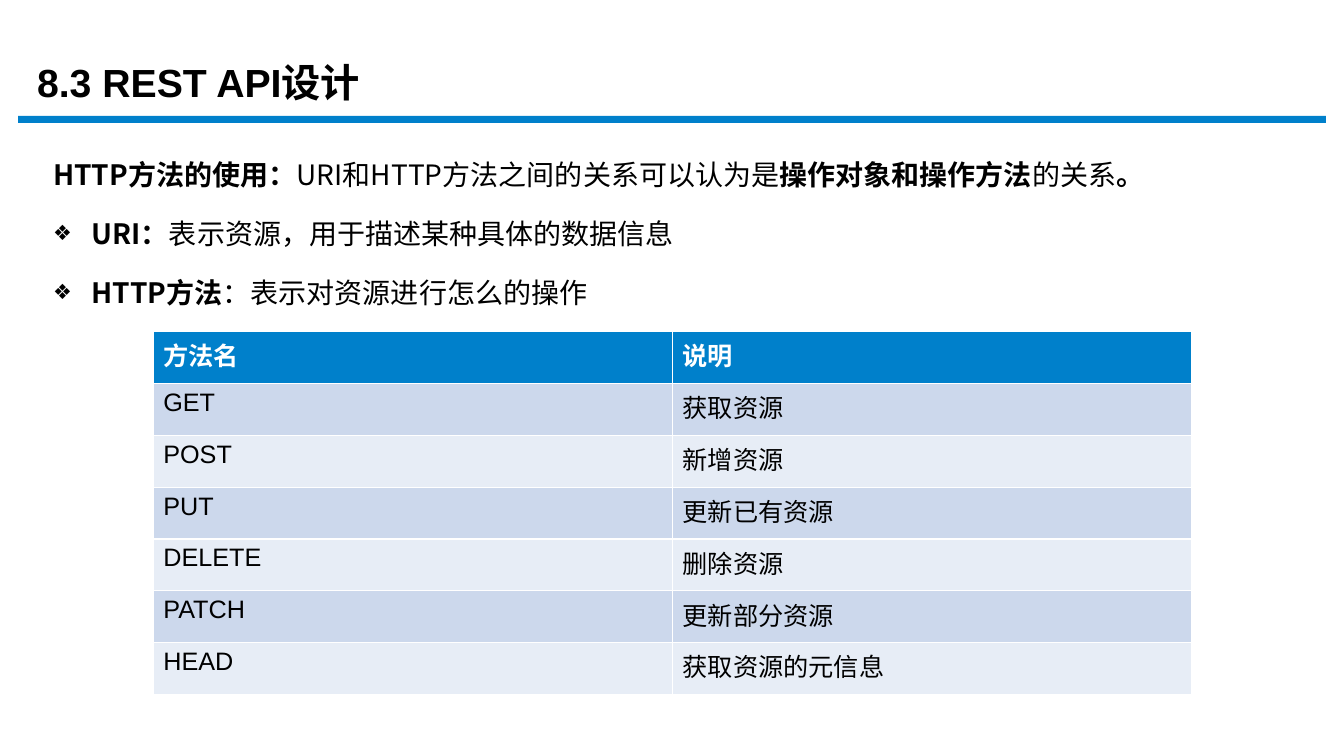
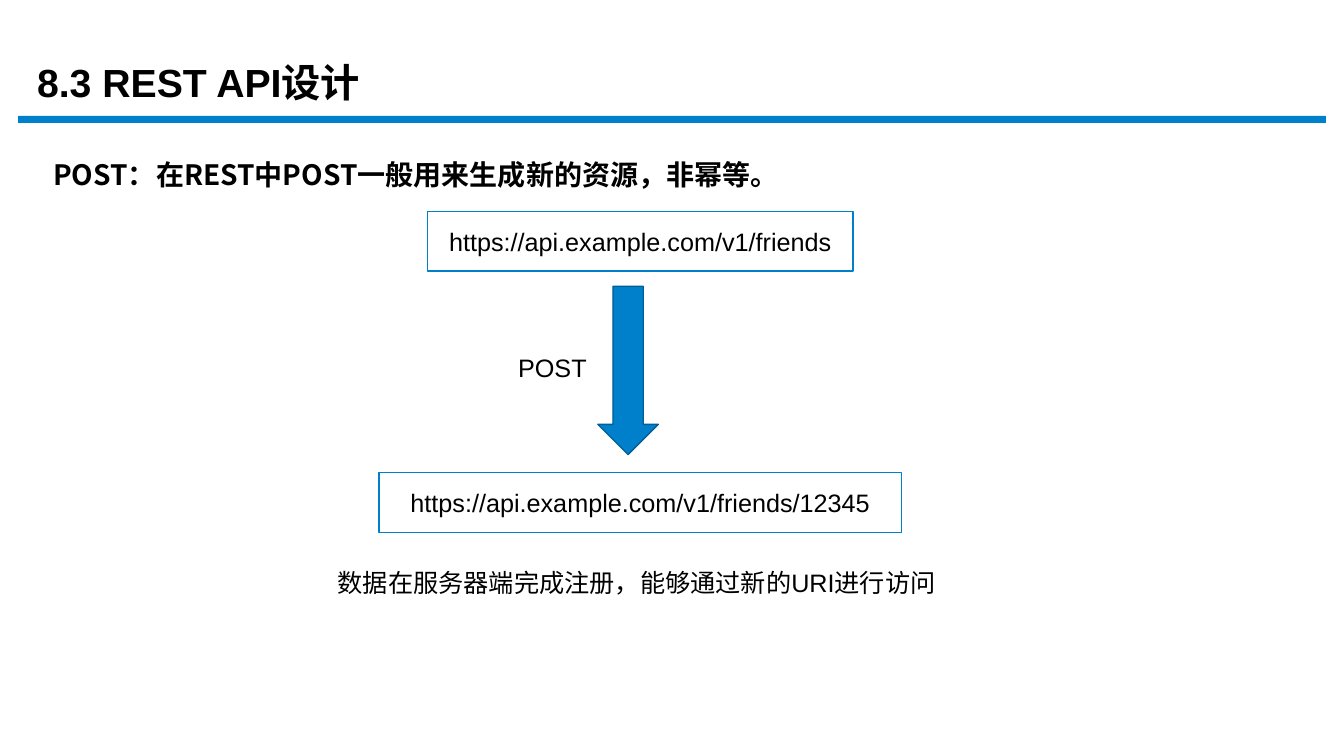
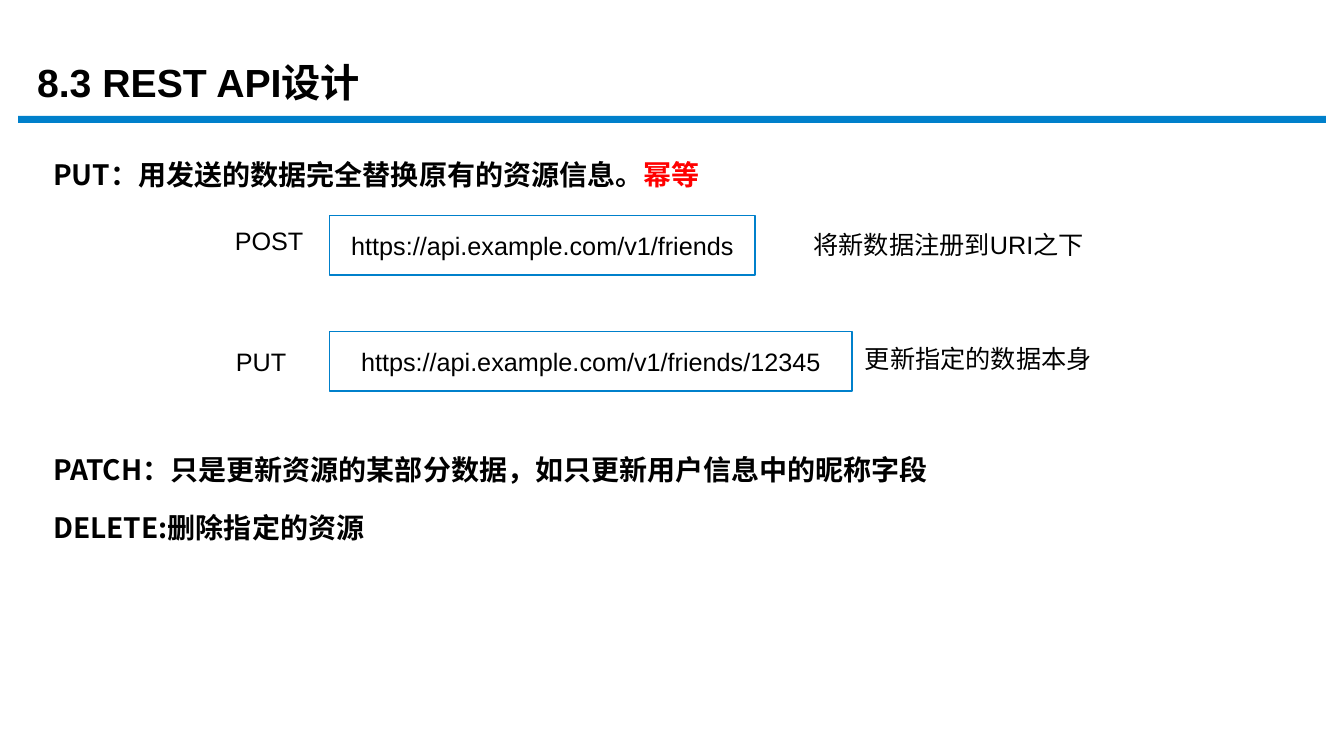
from lxml import etree
from pptx import Presentation
from pptx.dml.color import RGBColor
from pptx.enum import shapes, text
from pptx.oxml import ns
from pptx.util import Inches, Pt

BLUE = RGBColor(0x00, 0x80, 0xCB)
DARK_BLUE = RGBColor(0x00, 0x5F, 0x96)
ROW_TINTS = (RGBColor(0xE7, 0xED, 0xF6), RGBColor(0xCC, 0xD8, 0xEC))
BLACK = RGBColor(0, 0, 0)
WHITE = RGBColor(0xFF, 0xFF, 0xFF)
RED = RGBColor(0xFF, 0, 0)

LATIN_FONT = "Arial"
CHINESE_FONT = "Noto Sans CJK SC"
TITLE = "8.3 REST API设计"
FRIENDS_URI = "https://api.example.com/v1/friends"
FRIEND_URI = "https://api.example.com/v1/friends/12345"
BODY_LEFT, BODY_TOP, BODY_WIDTH = 0.43, 1.35, 12.4
URI_HEIGHT = 0.59
FRIENDS_WIDTH, FRIEND_WIDTH = 4.22, 5.18

METHODS = [
    ("方法名", "说明"),
    ("GET", "获取资源"),
    ("POST", "新增资源"),
    ("PUT", "更新已有资源"),
    ("DELETE", "删除资源"),
    ("PATCH", "更新部分资源"),
    ("HEAD", "获取资源的元信息"),
]


def format_run(run, size, color=BLACK, bold=False, name=LATIN_FONT):
    """Style a run, with the Chinese font for its East Asian characters."""
    font = run.font
    font.size, font.bold, font.name = Pt(size), bold, name
    font.color.rgb = color
    latin = font._element.find(ns.qn("a:latin"))
    east_asian = etree.Element(ns.qn("a:ea"), typeface=CHINESE_FONT)
    latin.addnext(east_asian)


def add_text(slide, left, top, width, height, content, size=18, bold=False):
    box = slide.shapes.add_textbox(Inches(left), Inches(top), Inches(width), Inches(height))
    frame = box.text_frame
    frame.word_wrap = True
    frame.text = content
    format_run(frame.paragraphs[0].runs[0], size, bold=bold)
    return frame


def add_shape(slide, preset, left, top, width, height, fill, line=None):
    shape = slide.shapes.add_shape(
        preset, Inches(left), Inches(top), Inches(width), Inches(height))
    shape.shadow.inherit = False
    shape.fill.solid()
    shape.fill.fore_color.rgb = fill
    if line is None:
        shape.line.fill.background()
    else:
        shape.line.color.rgb = line
        shape.line.width = Pt(1)
    return shape


def add_titled_slide(presentation):
    slide = presentation.slides.add_slide(presentation.slide_layouts[6])
    frame = add_text(slide, 0.27, 0.35, 7.64, 0.99, TITLE, 28, True)
    frame.vertical_anchor = text.MSO_ANCHOR.MIDDLE
    frame.paragraphs[0].line_spacing = 0.9
    add_shape(slide, shapes.MSO_SHAPE.RECTANGLE, 0.18, 1.15, 12.97, 0.07, BLUE)
    return slide


def add_bullet(paragraph):
    properties = paragraph._p.get_or_add_pPr()
    properties.set("marL", str(Inches(0.38)))
    properties.set("indent", str(-Inches(0.38)))
    color = etree.SubElement(properties, ns.qn("a:buClr"))
    etree.SubElement(color, ns.qn("a:srgbClr"), val=str(BLACK))
    etree.SubElement(properties, ns.qn("a:buSzPct"), val="75000")
    etree.SubElement(properties, ns.qn("a:buFont"), typeface=LATIN_FONT)
    etree.SubElement(properties, ns.qn("a:buChar"), char="❖")


def add_body(slide, top, height, paragraphs):
    """Each paragraph is (bulleted, runs); each run is (text, bold, color)."""
    box = slide.shapes.add_textbox(
        Inches(BODY_LEFT), Inches(top), Inches(BODY_WIDTH), Inches(height))
    frame = box.text_frame
    frame.word_wrap = True
    for index, (bulleted, runs) in enumerate(paragraphs):
        paragraph = frame.add_paragraph() if index else frame.paragraphs[0]
        if bulleted:
            add_bullet(paragraph)
        paragraph.line_spacing = 1.5
        if index:
            paragraph.space_before = Pt(6)
        for content, bold, color in runs:
            run = paragraph.add_run()
            run.text = content
            format_run(run, 20, color, bold, CHINESE_FONT)


def add_uri_box(slide, left, top, width, uri):
    shape = add_shape(slide, shapes.MSO_SHAPE.RECTANGLE,
                      left, top, width, URI_HEIGHT, WHITE, BLUE)
    frame = shape.text_frame
    frame.text = uri
    frame.vertical_anchor = text.MSO_ANCHOR.MIDDLE
    frame.paragraphs[0].alignment = text.PP_ALIGN.CENTER
    format_run(frame.paragraphs[0].runs[0], 18)


def add_method_table(slide, left, top, width, height):
    table = slide.shapes.add_table(
        len(METHODS), len(METHODS[0]),
        Inches(left), Inches(top), Inches(width), Inches(height)).table
    for row, values in enumerate(METHODS):
        header = row == 0
        for column, value in enumerate(values):
            cell = table.cell(row, column)
            cell.fill.solid()
            cell.fill.fore_color.rgb = BLUE if header else ROW_TINTS[row % 2]
            cell.text_frame.text = value
            format_run(cell.text_frame.paragraphs[0].runs[0], 18,
                       WHITE if header else BLACK, header)


def build_methods_slide(presentation):
    slide = add_titled_slide(presentation)
    add_body(slide, BODY_TOP, 1.9, [
        (False, [("HTTP方法的使用：", True, BLACK),
                 ("URI和HTTP方法之间的关系可以认为是", False, BLACK),
                 ("操作对象和操作方法", True, BLACK),
                 ("的关系", False, BLACK),
                 ("。", True, BLACK)]),
        (True, [("URI：", True, BLACK),
                ("表示资源，用于描述某种具体的数据信息", False, BLACK)]),
        (True, [("HTTP方法", True, BLACK),
                ("：表示对资源进行怎么的操作", False, BLACK)]),
    ])
    add_method_table(slide, 1.52, 3.29, 10.3, 3.6)


def build_post_slide(presentation):
    slide = add_titled_slide(presentation)
    add_body(slide, BODY_TOP, 0.61, [
        (False, [("POST：在REST中POST一般用来生成新的资源，非幂等。", True, BLACK)])])
    center = 6.35
    add_uri_box(slide, center - FRIENDS_WIDTH / 2, 2.1, FRIENDS_WIDTH, FRIENDS_URI)
    add_shape(slide, shapes.MSO_SHAPE.DOWN_ARROW, 5.93, 2.84, 0.6, 1.67, BLUE, DARK_BLUE)
    add_text(slide, 5.04, 3.45, 0.89, 0.4, "POST")
    add_uri_box(slide, center - FRIEND_WIDTH / 2, 4.69, FRIEND_WIDTH, FRIEND_URI)
    add_text(slide, 3.25, 5.58, 6.19, 0.4,
             "数据在服务器端完成注册，能够通过新的URI进行访问")


def build_put_slide(presentation):
    slide = add_titled_slide(presentation)
    add_body(slide, BODY_TOP, 0.61, [
        (False, [("PUT：用发送的数据完全替换原有的资源信息。", True, BLACK),
                 ("幂等", True, RED)])])
    add_uri_box(slide, 3.27, 2.14, FRIENDS_WIDTH, FRIENDS_URI)
    add_uri_box(slide, 3.27, 3.29, FRIEND_WIDTH, FRIEND_URI)
    for left, top, width, label in [
        (2.23, 2.19, 0.89, "POST"),
        (2.24, 3.39, 0.71, "PUT"),
        (7.97, 2.23, 2.91, "将新数据注册到URI之下"),
        (8.48, 3.36, 2.47, "更新指定的数据本身"),
    ]:
        add_text(slide, left, top, width, 0.4, label)
    add_body(slide, 4.27, 1.2, [
        (False, [("PATCH：只是更新资源的某部分数据，如只更新用户信息中的昵称字段", True, BLACK)]),
        (False, [("DELETE:删除指定的资源", True, BLACK)]),
    ])


def main():
    presentation = Presentation()
    presentation.slide_width, presentation.slide_height = Inches(13.33), Inches(7.5)
    build_methods_slide(presentation)
    build_post_slide(presentation)
    build_put_slide(presentation)
    presentation.save("out.pptx")


if __name__ == "__main__":
    main()
